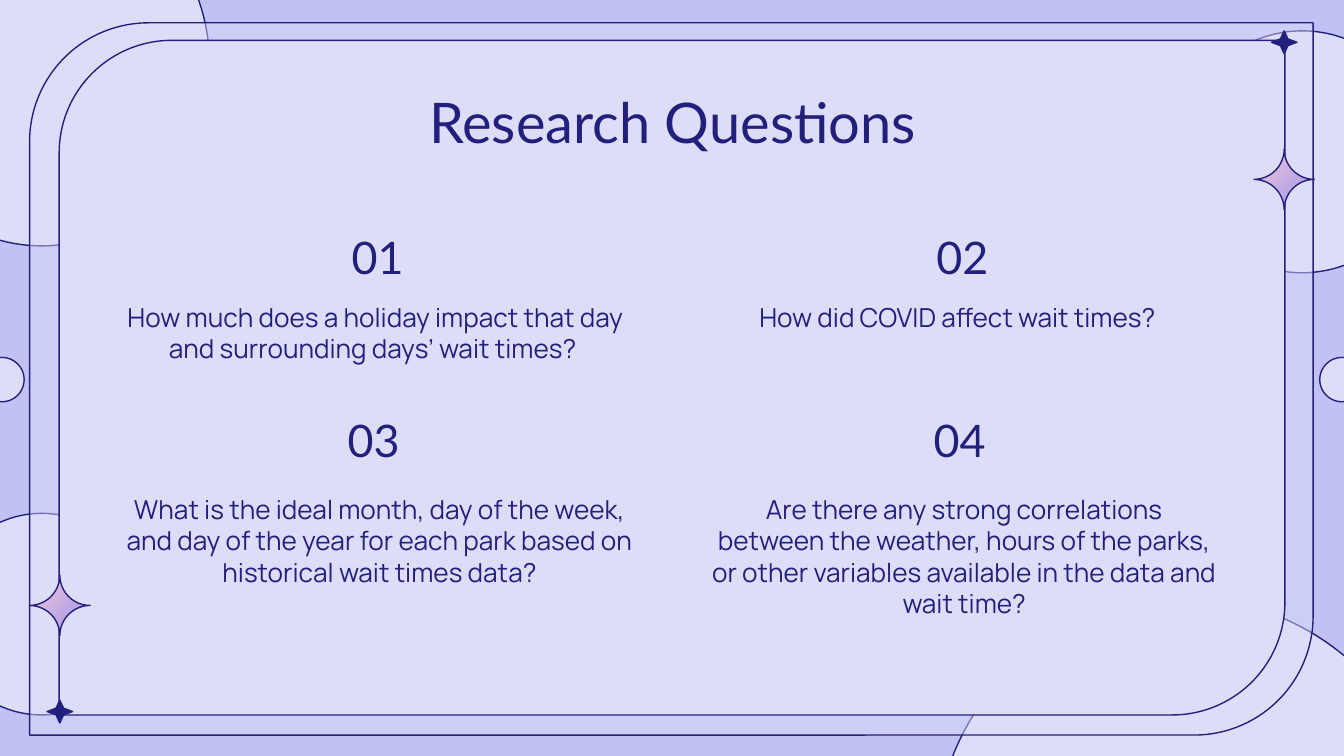
from lxml import etree
from pptx import Presentation
from pptx.dml.color import RGBColor
from pptx.enum.shapes import MSO_SHAPE as Kind
from pptx.enum.text import MSO_ANCHOR, PP_ALIGN
from pptx.oxml.ns import qn
from pptx.util import Inches, Pt

HUES = {"back": "C0C2F4", "pale": "DEDDF8", "ink": "231F7C",
        "pink": "F8C7D5", "violet": "9995EF"}

TITLE = "Research Questions"
# top of numbers, top of questions, then cells:
# number, question, left of number, left of question
ROWS = [
    (1.56, 2.14, [
        ("01", " How much does a holiday impact that day and surrounding "
               "days’ wait times?", 2.32, 0.79),
        ("02", "How did COVID affect wait times?", 6.67, 5.14)]),
    (2.92, 3.57, [
        ("03", "What is the ideal month, day of the week, and day of the year "
               "for each park based on historical wait times data?", 2.29, 0.84),
        ("04", "Are there any strong correlations between the weather, hours of "
               "the parks, or other variables available in the data and "
               "wait time?", 6.65, 5.19)]),
]
CIRCLES = [(-0.94, -0.87, 2.5, 2.7), (8.79, 0.23, 1.8, 1.8),
           (6.96, 4.45, 3.71, 3.71), (-0.44, 3.82, 1.5, 1.5),
           (9.82, 2.66, 0.33, 0.33), (-0.15, 2.66, 0.33, 0.33)]
FRAMES = [((0.22, 0.17, 9.55, 5.3), 45), ((0.44, 0.3, 9.12, 5.02), 100)]
GEMS = [(0.22, 4.28), (9.33, 1.11)]
STARS = [(0.35, 5.21), (9.46, 0.23)]


def hue(name):
    return RGBColor.from_string(HUES[name])


def shape(kind, box, fill, *adjust):
    item = slide.shapes.add_shape(kind, *map(Inches, box))
    item.shadow.inherit = False
    item.fill.solid()
    item.fill.fore_color.rgb = hue(fill)
    item.line.color.rgb = hue("ink")
    item.line.width = Pt(0.75)
    for i, value in enumerate(adjust):
        item.adjustments[i] = value
    return item


def fade(item, percent):
    """Set the opacity of a solid fill."""
    tint = item.fill._xPr.find(qn("a:solidFill"))[0]
    etree.SubElement(tint, qn("a:alpha"), val=str(percent * 1000))


def blend(item):
    """Shade from pink at top left to violet at bottom right."""
    item.fill.gradient()
    item.fill.gradient_angle = 315
    for stop, name, place in zip(item.fill.gradient_stops, ("pink", "violet"), (0, 1)):
        stop.color.rgb = hue(name)
        stop.position = place


def label(words, box, size, font="Lato", anchor=MSO_ANCHOR.TOP):
    frame = slide.shapes.add_textbox(*map(Inches, box)).text_frame
    frame.word_wrap = True
    frame.vertical_anchor = anchor
    frame.margin_left = frame.margin_right = Inches(0.1)
    frame.margin_top = frame.margin_bottom = Inches(0.1)
    para = frame.paragraphs[0]
    para.text = words
    para.alignment = PP_ALIGN.CENTER
    para.font.size = Pt(size)
    para.font.name = font
    para.font.color.rgb = hue("ink")


deck = Presentation()
deck.slide_width = Inches(10)
deck.slide_height = deck.slide_width * 9 // 16
slide = deck.slides.add_slide(deck.slide_layouts[6])
slide.background.fill.solid()
slide.background.fill.fore_color.rgb = hue("back")

for box in CIRCLES:
    shape(Kind.OVAL, box, "pale")
for box, percent in FRAMES:
    panel = shape(Kind.ROUND_2_DIAG_RECTANGLE, box, "pale", 0.167, 0)
    if percent < 100:
        fade(panel, percent)

label(TITLE, (0.79, 0.55, 8.43, 0.63), 30)
for top, low, cells in ROWS:
    for number, question, left, start in cells:
        label(number, (left, top, 0.98, 0.65), 24, anchor=MSO_ANCHOR.BOTTOM)
        label(question, (start, low, 3.97, 0.53), 14, "Manrope")

for spot in GEMS:
    blend(shape(Kind.PLAQUE, (*spot, 0.45, 0.45), "pink", 0.5))
for spot in STARS:
    shape(Kind.STAR_4_POINT, (*spot, 0.19, 0.17), "ink", 0.209)

deck.save("out.pptx")
